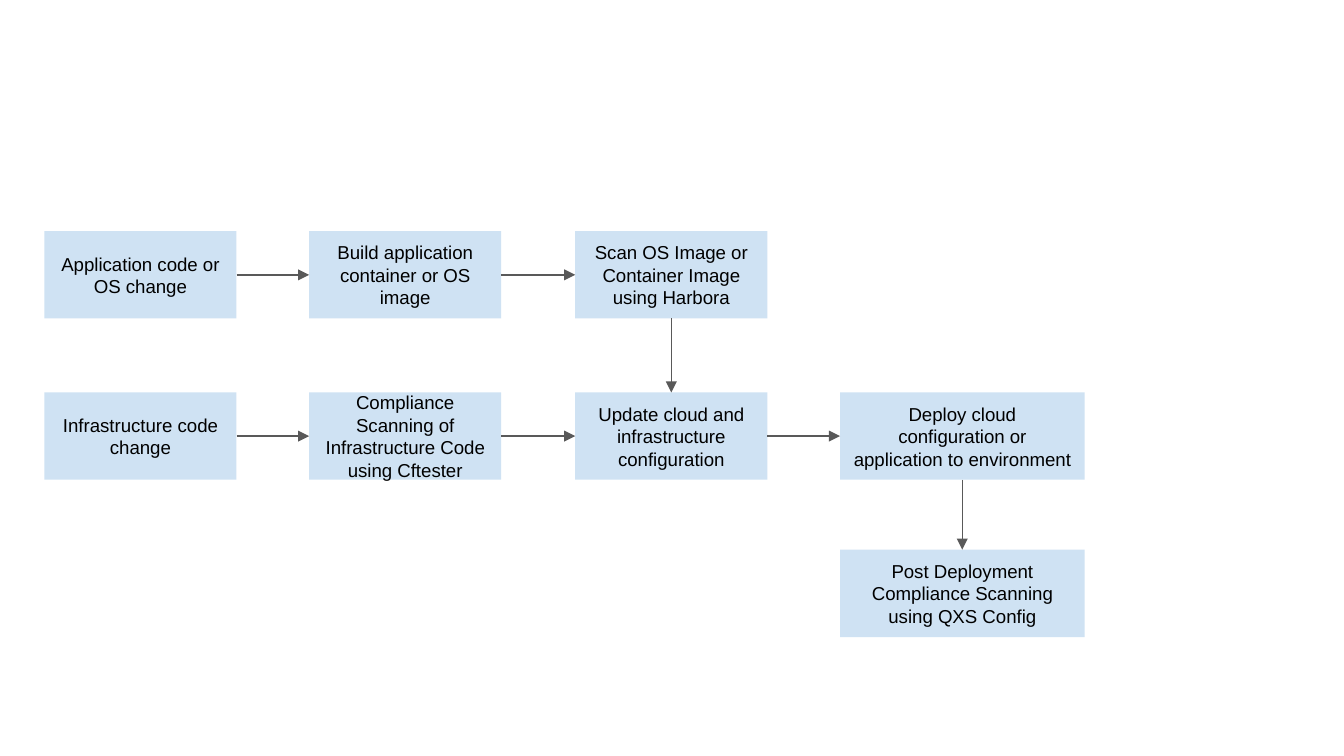
"""Build a slide with the flow of compliance checks from code change to deployment."""
from lxml import etree
from pptx import Presentation
from pptx import util as u
from pptx.dml.color import RGBColor
from pptx.enum import shapes, text
from pptx.oxml.ns import qn

WIDE = 10
LEFTS = [0.33, 2.3, 4.28, 6.25]
WIDTHS = [1.43, 1.43, 1.43, 1.82]
TOPS = [1.72, 2.92, 4.09]
HEIGHT = 0.65
STEPS = {
    "app": (0, 0, "Application code or OS change"),
    "build": (1, 0, "Build application container or OS image"),
    "scan": (2, 0, "Scan OS Image or Container Image using Harbora"),
    "infra": (0, 1, "Infrastructure code change"),
    "check": (1, 1, "Compliance Scanning of Infrastructure Code using Cftester"),
    "update": (2, 1, "Update cloud and infrastructure configuration"),
    "deploy": (3, 1, "Deploy cloud configuration or application to environment"),
    "post": (3, 2, "Post Deployment Compliance Scanning using QXS Config"),
}
RIGHT, DOWN = (3, 1), (2, 0)
LINKS = [
    ("app", "build", RIGHT),
    ("build", "scan", RIGHT),
    ("scan", "update", DOWN),
    ("infra", "check", RIGHT),
    ("check", "update", RIGHT),
    ("update", "deploy", RIGHT),
    ("deploy", "post", DOWN),
]
FRAME = {
    "word_wrap": True,
    "vertical_anchor": text.MSO_ANCHOR.MIDDLE,
    **{f"margin_{side}": u.Inches(0.1) for side in ("left", "top", "right", "bottom")},
}
FONT = {"name": "Arial", "size": u.Pt(10)}


def paint(fill, color):
    fill.solid()
    fill.fore_color.rgb = RGBColor.from_string(color)


def style(item, values):
    for name, value in values.items():
        setattr(item, name, value)


def add_step(slide, col, row, label):
    spot = (LEFTS[col], TOPS[row], WIDTHS[col], HEIGHT)
    box = slide.shapes.add_shape(shapes.MSO_SHAPE.RECTANGLE, *map(u.Inches, spot))
    box.shadow.inherit = False
    paint(box.fill, "CFE2F3")
    box.line.fill.background()
    frame = box.text_frame
    style(frame, FRAME)
    para = frame.paragraphs[0]
    para.alignment = text.PP_ALIGN.CENTER
    run = para.add_run()
    run.text = label
    style(run.font, FONT)
    paint(run.font.fill, "000000")
    return box


def add_link(slide, start, end, sides):
    link = slide.shapes.add_connector(shapes.MSO_CONNECTOR.STRAIGHT, 0, 0, 0, 0)
    link.begin_connect(start, sides[0])
    link.end_connect(end, sides[1])
    link.line.width = u.Pt(0.75)
    paint(link.line.fill, "595959")
    props = link._element.spPr
    etree.SubElement(props.find(qn("a:ln")), qn("a:tailEnd"), type="triangle")
    etree.SubElement(props, qn("a:effectLst"))


def main():
    deck = Presentation()
    size = {"slide_width": u.Inches(WIDE), "slide_height": u.Inches(WIDE * 9 / 16)}
    style(deck, size)
    slide = deck.slides.add_slide(deck.slide_layouts[6])
    boxes = {key: add_step(slide, *step) for key, step in STEPS.items()}
    for start, end, sides in LINKS:
        add_link(slide, boxes[start], boxes[end], sides)
    deck.save("out.pptx")


if __name__ == "__main__":
    main()
